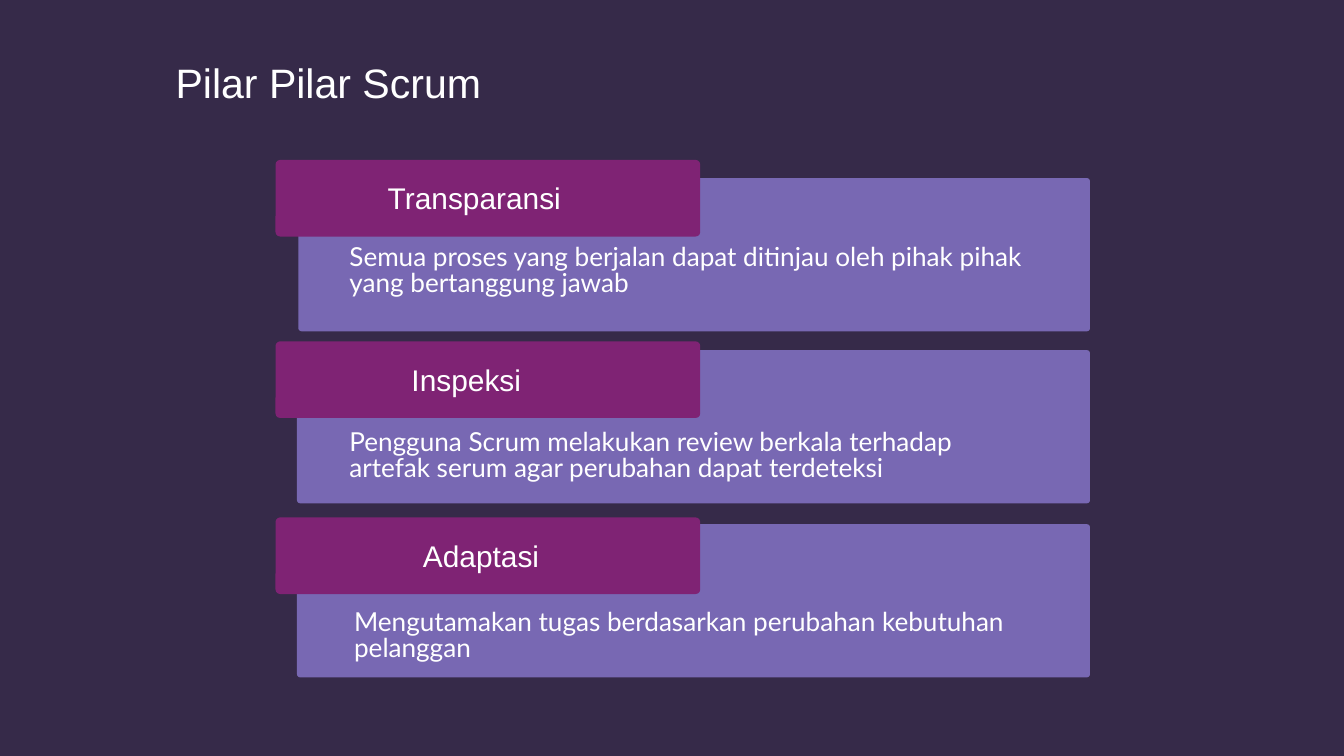
"""Builds the slide on the three pillars of Scrum."""
from pptx import Presentation
from pptx.dml.color import RGBColor
from pptx.enum.shapes import MSO_SHAPE
from pptx.enum.text import MSO_ANCHOR, MSO_AUTO_SIZE, PP_ALIGN
from pptx.util import Inches, Pt

ROUNDED = MSO_SHAPE.ROUNDED_RECTANGLE
TOP, NO_FIT = MSO_ANCHOR.TOP, MSO_AUTO_SIZE.NONE
LEFT, CENTER = PP_ALIGN.LEFT, PP_ALIGN.CENTER

NIGHT = RGBColor(0x36, 0x2A, 0x49)
VIOLET = RGBColor(0x78, 0x68, 0xB3)
PLUM = RGBColor(0x7F, 0x23, 0x74)
WHITE = RGBColor(0xFF, 0xFF, 0xFF)

COLUMNS = 200
TITLE_ONLY = 5
PANEL_RIGHT, PANEL_HEIGHT = 162.2, 22.8
TAB_LEFT, TAB_WIDTH, TAB_HEIGHT = 41, 63.2, 11.4
HEADING_DROP, HEADING_WIDTH, HEADING_HEIGHT = 3, 53.6, 5.3
BODY_WIDTH, BODY_HEIGHT = 101.4, 7.9

PILLARS = [
    dict(name="Transparansi", tab_top=23.8, name_left=43.8,
         panel=(44.4, 26.5), body_at=(52, 36.5),
         body="Semua proses yang berjalan dapat ditinjau oleh pihak pihak yang bertanggung jawab"),
    dict(name="Inspeksi", tab_top=50.8, name_left=42.6,
         panel=(44.2, 52.1), body_at=(52, 64.1),
         body="Pengguna Scrum melakukan review berkala terhadap artefak serum agar perubahan dapat terdeteksi"),
    dict(name="Adaptasi", tab_top=77, name_left=44.8,
         panel=(44.2, 78), body_at=(52.7, 90.9),
         body="Mengutamakan tugas berdasarkan perubahan kebutuhan pelanggan"),
]


def write(tf, text, size, font="Arial", align=CENTER, spacing=38.4):
    """Puts one formatted paragraph into a text frame."""
    tf.word_wrap = True
    tf.auto_size = NO_FIT
    tf.vertical_anchor = TOP
    p = tf.paragraphs[0]
    p.alignment = align
    p.line_spacing = Pt(spacing)
    r = p.add_run()
    r.text = text
    r.font.name, r.font.size, r.font.color.rgb = font, Pt(size), WHITE


class Deck:
    """Holds the presentation, its grid and the current slide."""

    def __init__(self, width, height):
        """Sets the slide size and the square grid cell."""
        self.prs = Presentation()
        self.prs.slide_width, self.prs.slide_height = Inches(width), Inches(height)
        self.cell = self.prs.slide_width / COLUMNS

    def grid(self, *cells):
        """Turns grid cells into lengths."""
        return [round(n * self.cell) for n in cells]

    def slide(self, background):
        """Starts a slide with a plain background."""
        self.s = self.prs.slides.add_slide(self.prs.slide_layouts[TITLE_ONLY])
        fill = self.s.background.fill
        fill.solid()
        fill.fore_color.rgb = background

    def title(self, text, *box):
        """Moves and fills the title placeholder."""
        sp = self.s.shapes.title
        sp.left, sp.top, sp.width, sp.height = self.grid(*box)
        write(sp.text_frame, text, 44)

    def card(self, color, corner, *box):
        """Adds a rounded card without outline."""
        sp = self.s.shapes.add_shape(ROUNDED, *self.grid(*box))
        sp.shadow.inherit = False
        sp.adjustments[0] = corner
        sp.fill.solid()
        sp.fill.fore_color.rgb = color
        sp.line.fill.background()

    def text(self, text, *box, **style):
        """Adds a text box without margins."""
        tf = self.s.shapes.add_textbox(*self.grid(*box)).text_frame
        tf.margin_left = tf.margin_right = tf.margin_top = tf.margin_bottom = 0
        write(tf, text, **style)

    def pillar(self, name, tab_top, name_left, panel, body_at, body):
        """Adds a panel with its tab, heading and description."""
        self.card(VIOLET, 0.02, *panel, PANEL_RIGHT - panel[0], PANEL_HEIGHT)
        self.card(PLUM, 0.06, TAB_LEFT, tab_top, TAB_WIDTH, TAB_HEIGHT)
        self.text(body, *body_at, BODY_WIDTH, BODY_HEIGHT,
                  size=28, font="Lato", align=LEFT, spacing=28)
        self.text(name, name_left, tab_top + HEADING_DROP,
                  HEADING_WIDTH, HEADING_HEIGHT, size=32)


def main():
    """Builds and saves the slide."""
    deck = Deck(20, 11.25)
    deck.slide(NIGHT)
    deck.title("Pilar Pilar Scrum", 0, 10.1, 97.8, 6.4)
    for pillar in PILLARS:
        deck.pillar(**pillar)
    deck.prs.save("out.pptx")


if __name__ == "__main__":
    main()
